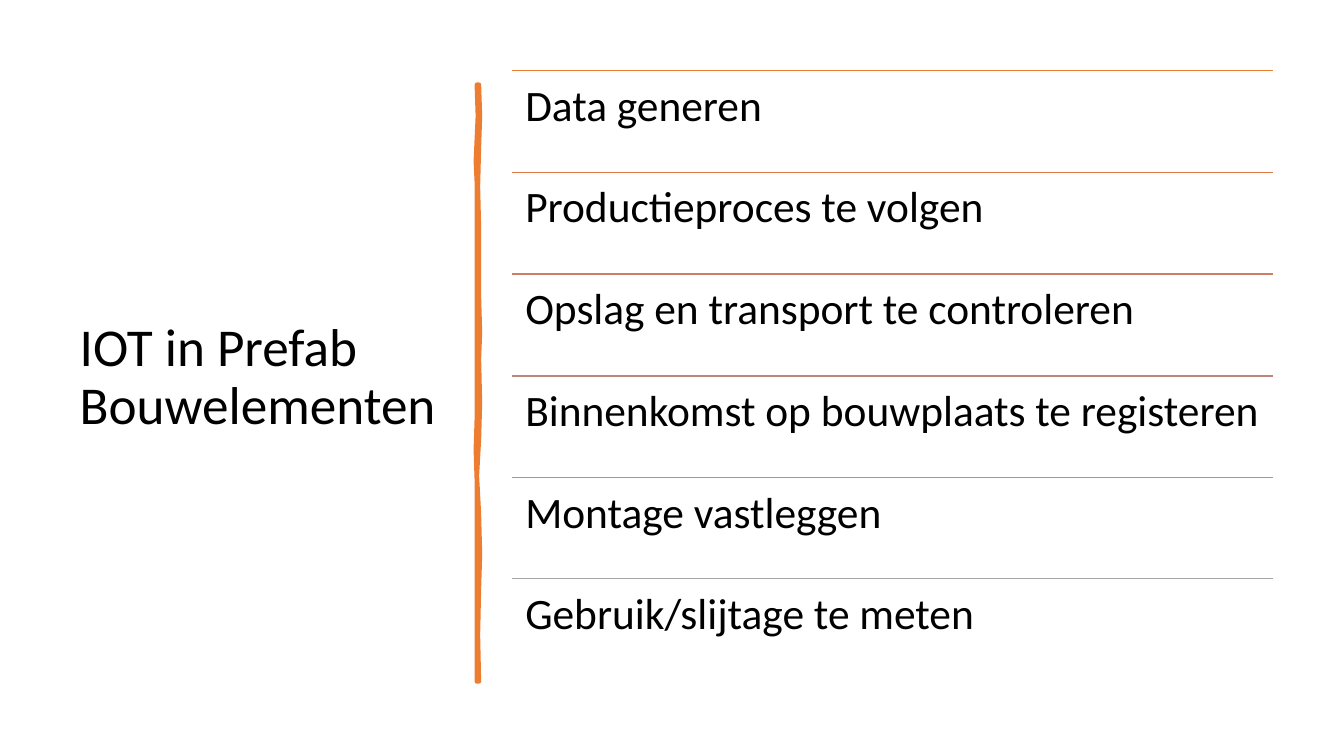
from math import ceil

from pptx import Presentation
from pptx.dml.color import RGBColor
from pptx.enum.shapes import MSO_CONNECTOR as Connector
from pptx.enum.text import MSO_ANCHOR as Anchor, MSO_AUTO_SIZE as AutoSize, PP_ALIGN as Align
from pptx.oxml.ns import qn
from pptx.util import Emu, Pt
from lxml.etree import SubElement

# Content
TITLE = "IOT in Prefab Bouwelementen"
ROWS = [
    ("Data generen", RGBColor(0xED, 0x7D, 0x31)),
    ("Productieproces te volgen", RGBColor(0xDC, 0x7A, 0x4B)),
    ("Opslag en transport te controleren", RGBColor(0xCC, 0x7D, 0x64)),
    ("Binnenkomst op bouwplaats te registeren", RGBColor(0xBD, 0x86, 0x7B)),
    ("Montage vastleggen", RGBColor(0xB0, 0x93, 0x91)),
    ("Gebruik/slijtage te meten", RGBColor(0xA5, 0xA5, 0xA5)),
]
BLACK = RGBColor(0, 0, 0)
ORANGE = RGBColor(0xED, 0x7D, 0x31)
FONT = "Calibri"

# Hand-drawn stroke: outline down the right edge and up the left edge
STROKE_OUTLINE = [
    (475, 84), (476, 115), (475, 146), (474, 185), (475, 226), (475, 294),
    (476, 330), (475, 356), (476, 400), (475, 436), (473, 472), (475, 510),
    (476, 550), (475, 584), (474, 630), (475, 676),
    (473, 676), (473, 613), (473, 557), (473, 477), (472, 446), (473, 415),
    (473, 335), (473, 250), (473, 181), (472, 160), (474, 115), (473, 84),
]

# Layout in px, 100 to the inch
SLIDE_SIZE = (1333, 750)
TITLE_BOX = (69, 70, 374, 611)
LIST_LEFT, LIST_WIDTH = 508, 755
FIRST_RULE, LAST_RULE = 70, 574
ROW_HEIGHT = 101
ROW_INSET = 13


def px(value):
    return Emu(value * 9144)


def write(frame, text, size):
    frame.word_wrap = True
    frame.auto_size = AutoSize.NONE
    paragraph = frame.paragraphs[0]
    paragraph.alignment = Align.LEFT
    paragraph.line_spacing = 0.9
    run = paragraph.add_run()
    run.text = text
    run.font.name = FONT
    run.font.size = Pt(size)
    run.font.color.rgb = BLACK


def add_title(slide):
    title = slide.shapes.title
    title.left, title.top, title.width, title.height = map(px, TITLE_BOX)
    title.text_frame.vertical_anchor = Anchor.MIDDLE
    write(title.text_frame, TITLE, 38)


def add_stroke(slide):
    start, *points = STROKE_OUTLINE
    builder = slide.shapes.build_freeform(*start, scale=px(1))
    builder.add_line_segments(points, close=True)
    stroke = builder.convert_to_shape()
    stroke.shadow.inherit = False
    stroke.fill.solid()
    stroke.fill.fore_color.rgb = ORANGE
    stroke.line.color.rgb = ORANGE
    stroke.line.width = Pt(3.25)


def add_row(group, top, text, color):
    # Rule above the row
    y = px(top)
    rule = group.shapes.add_connector(
        Connector.STRAIGHT, px(LIST_LEFT), y, px(LIST_LEFT + LIST_WIDTH), y)
    rule.line.color.rgb = color
    rule.line.width = Pt(1)
    SubElement(rule.element.spPr, qn("a:effectLst"))

    # Row text
    box = group.shapes.add_textbox(px(LIST_LEFT), y, px(LIST_WIDTH), px(ROW_HEIGHT))
    frame = box.text_frame
    frame.margin_left = frame.margin_right = px(ROW_INSET)
    frame.margin_top = frame.margin_bottom = px(ROW_INSET)
    frame.vertical_anchor = Anchor.TOP
    write(frame, text, 31)


def main():
    presentation = Presentation()
    presentation.slide_width, presentation.slide_height = map(px, SLIDE_SIZE)
    slide = presentation.slides.add_slide(presentation.slide_layouts[5])
    add_title(slide)
    add_stroke(slide)

    # List of rows, evenly spread between the first and the last rule
    group = slide.shapes.add_group_shape()
    span, gaps = LAST_RULE - FIRST_RULE, len(ROWS) - 1
    for index, (text, color) in enumerate(ROWS):
        add_row(group, FIRST_RULE + ceil(index * span / gaps), text, color)
    presentation.save("out.pptx")


if __name__ == "__main__":
    main()
